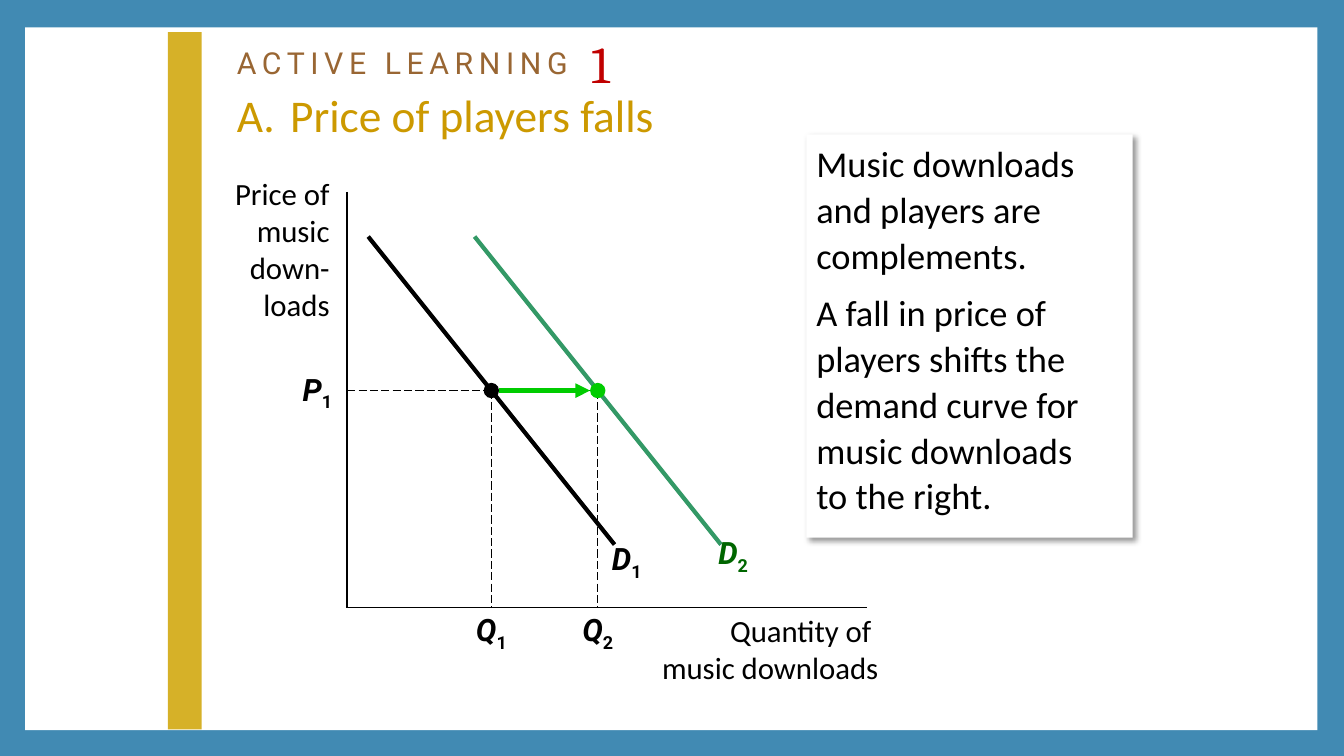
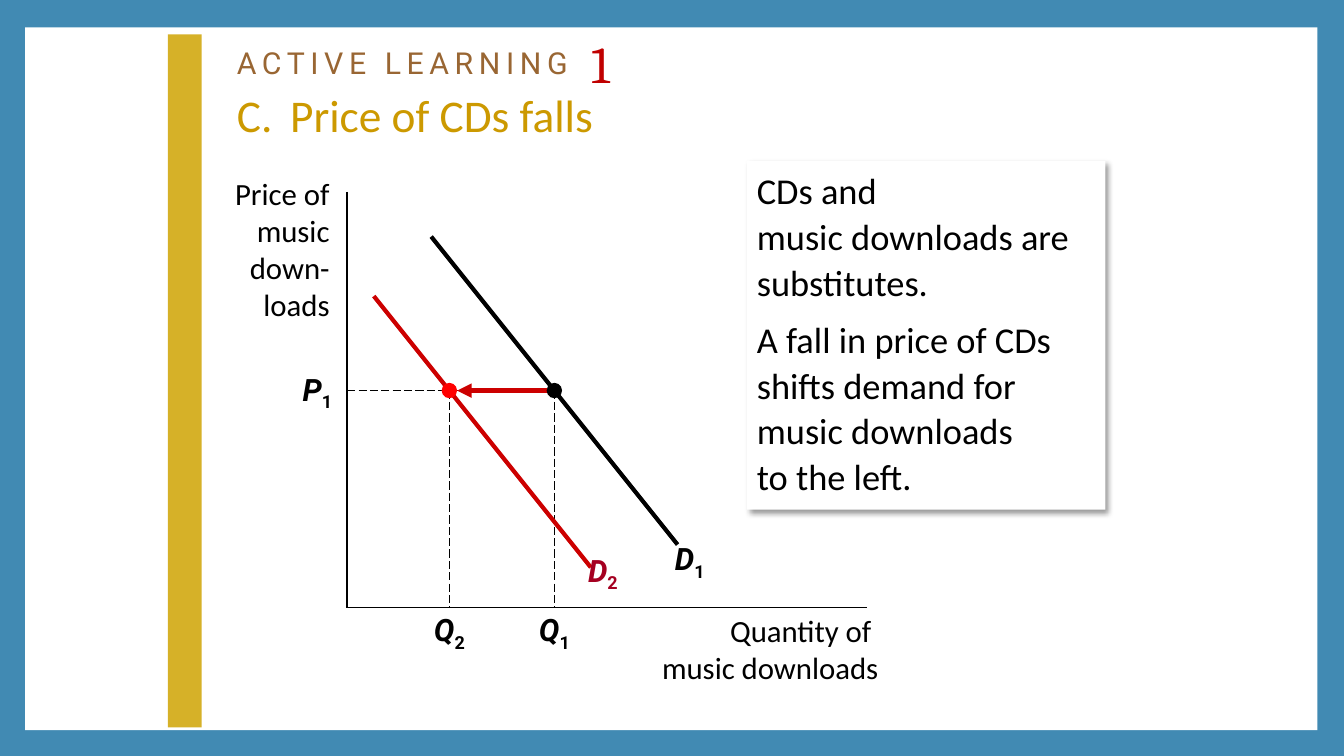
from lxml.etree import SubElement
from pptx import Presentation
from pptx.dml.color import RGBColor
from pptx.enum.dml import MSO_LINE
from pptx.enum.shapes import MSO_CONNECTOR, MSO_SHAPE
from pptx.enum.text import MSO_ANCHOR, MSO_AUTO_SIZE, PP_ALIGN
from pptx.oxml.ns import qn
from pptx.util import Pt

BLUE, WHITE, BLACK, GOLD = "418AB3", "FFFFFF", "000000", "D6B128"
BROWN, DARK_RED, TITLE_GOLD = "996633", "C00000", "CC9900"
BODY, LABEL, NUMERAL = "Calibri", "Roboto", "Cambria"

# Diagram geometry, in points
AXIS_X, AXIS_Y, AXIS_TOP, AXIS_RIGHT = 248, 434, 137, 619
PRICE_Y, SLOPE, DOT = 279, 1.25, 11
LABEL_W, LABEL_H = 47.5, 34


def rgb(color):
    return RGBColor.from_string(color)


def set_font(font, name, size, color):
    font.name, font.size = name, Pt(size)
    font.color.rgb = rgb(color)


class Deck:
    def __init__(self):
        self.prs = Presentation()
        self.prs.slide_width, self.prs.slide_height = Pt(960), Pt(540)
        self.layout = self.prs.slide_layouts[5]
        fill = self.prs.slide_master.background.fill
        fill.solid()
        fill.fore_color.rgb = rgb(BLUE)
        self.s = None

    def new_slide(self, title, bar_top, bar_height):
        first = self.s is None
        self.s = self.prs.slides.add_slide(self.layout)
        if first:  # the white panel belongs to the layout
            panel = self.shape(MSO_SHAPE.RECTANGLE, 18, 19.5, 923, 502, WHITE)
            self.layout.shapes.element.insert(2, panel.element)
        self.title(title)
        self.shape(MSO_SHAPE.RECTANGLE, 120, bar_top, 24, bar_height, GOLD)

    def title(self, text):
        sp = self.s.shapes.title
        sp.left, sp.top, sp.width, sp.height = Pt(162), Pt(12), Pt(647), Pt(75)
        tf = sp.text_frame
        tf.auto_size, tf.vertical_anchor = MSO_AUTO_SIZE.NONE, MSO_ANCHOR.MIDDLE
        p = tf.paragraphs[0]
        p.alignment, p.line_spacing = PP_ALIGN.LEFT, 0.9
        tabs = SubElement(p._p.get_or_add_pPr(), qn("a:tabLst"))
        for stop in (38, 253):
            SubElement(tabs, qn("a:tab"), pos=str(Pt(stop)), algn="l")
        p.font.size = Pt(21.6)
        self.run(p, "ACTIVE LEARNING", LABEL, 21.6, BROWN, spc="400")
        self.run(p, "\t", LABEL, 21.6, BROWN)
        self.run(p, "1", NUMERAL, 63.9, DARK_RED, baseline="-10000")
        p.add_line_break()
        self.run(p, text, BODY, 32.4, TITLE_GOLD)

    def run(self, p, text, name, size, color, **attributes):
        r = p.add_run()
        r.text = text
        set_font(r.font, name, size, color)
        for key, value in attributes.items():
            r.font._element.set(key, value)

    def shape(self, kind, x, y, w, h, color):
        sp = self.s.shapes.add_shape(kind, Pt(x), Pt(y), Pt(w), Pt(h))
        sp.shadow.inherit = False
        sp.fill.solid()
        sp.fill.fore_color.rgb = rgb(color)
        sp.line.fill.background()
        return sp

    def line(self, x1, y1, x2, y2, color=BLACK, width=1.0, dash=None, arrow=False):
        cn = self.s.shapes.add_connector(
            MSO_CONNECTOR.STRAIGHT, Pt(x1), Pt(y1), Pt(x2), Pt(y2))
        cn.line.color.rgb, cn.line.width = rgb(color), Pt(width)
        if dash:
            cn.line.dash_style = dash
        if arrow:
            SubElement(cn.line._get_or_add_ln(), qn("a:tailEnd"), type="triangle")
        SubElement(cn._element.spPr, qn("a:effectLst"))

    def text_box(self, x, y, w, h, align):
        sp = self.s.shapes.add_textbox(Pt(x), Pt(y), Pt(w), Pt(h))
        tf = sp.text_frame
        tf.word_wrap, tf.auto_size = True, MSO_AUTO_SIZE.SHAPE_TO_FIT_TEXT
        p = tf.paragraphs[0]
        p.alignment = align
        return p

    def caption(self, text, x, y, w, h):
        p = self.text_box(x, y, w, h, PP_ALIGN.RIGHT)
        p.text = text
        set_font(p.font, BODY, 22, BLACK)

    def symbol(self, text, x, y, color=BLACK, align=PP_ALIGN.CENTER):
        """Italic letter with a subscript digit."""
        p = self.text_box(x, y, LABEL_W, LABEL_H, align)
        set_font(p.font, LABEL, 22, color)
        p.font.bold = True
        letter, digit = p.add_run(), p.add_run()
        letter.text, digit.text = text
        letter.font.italic = True
        digit.font._element.set("baseline", "-25000")

    def axes(self):
        self.line(AXIS_X, AXIS_TOP, AXIS_X, AXIS_Y)
        self.line(AXIS_X, AXIS_Y, AXIS_RIGHT, AXIS_Y)
        self.caption("Price of music down-loads", 140.5, 121.5, 102, 114)
        self.caption("Quantity of \nmusic downloads", 427, 433.5, 207.5, 60)
        self.symbol("P1", 203, 261)

    def guides(self, *quantities):
        dashed = dict(width=0.75, dash=MSO_LINE.LONG_DASH)
        self.line(AXIS_X, PRICE_Y, max(quantities), PRICE_Y, **dashed)
        for number, x in enumerate(quantities, 1):
            self.line(x, PRICE_Y, x, AXIS_Y, **dashed)
            self.symbol(f"Q{number}", x - LABEL_W / 2, 433)

    def demand(self, name, x, color=BLACK, label_color=BLACK,
               left=88, right=88, lift=7):
        """Demand curve through the quantity x at the given price."""
        end_x, end_y = x + right, PRICE_Y + right * SLOPE
        self.line(x - left, PRICE_Y - left * SLOPE, end_x, end_y, color, 3)
        self.symbol(name, end_x - 9, end_y - lift, label_color, PP_ALIGN.LEFT)

    def shift(self, q1, q2, arrow_color, dot_color):
        gap = DOT / 2 if q2 > q1 else -DOT / 2
        self.line(q1 + gap, PRICE_Y, q2 - gap, PRICE_Y, arrow_color, 3.5, arrow=True)
        for x, color in ((q1, BLACK), (q2, dot_color)):
            self.shape(MSO_SHAPE.OVAL, x - DOT / 2, PRICE_Y - DOT / 2, DOT, DOT, color)

    def note(self, paragraphs, x, y, w, h):
        sp = self.shape(MSO_SHAPE.RECTANGLE, x, y, w, h, WHITE)
        shadow = SubElement(
            sp._element.spPr.find(qn("a:effectLst")), qn("a:outerShdw"),
            blurRad=str(Pt(4)), dist=str(Pt(3)), dir="2700000",
            algn="tl", rotWithShape="0")
        black = SubElement(shadow, qn("a:srgbClr"), val=BLACK)
        SubElement(black, qn("a:alpha"), val="40000")
        tf = sp.text_frame
        tf.word_wrap, tf.vertical_anchor = True, MSO_ANCHOR.TOP
        for i, text in enumerate(paragraphs):
            p = tf.add_paragraph() if i else tf.paragraphs[0]
            p.text = text
            p.alignment, p.line_spacing = PP_ALIGN.LEFT, 1.05
            if i:
                p.space_before = Pt(8)
            set_font(p.font, BODY, 26, BLACK)


def main():
    deck = Deck()

    # Complements: demand shifts right
    q1, q2 = 351, 427
    deck.new_slide("A.\tPrice of players falls", 23, 498)
    deck.guides(q1, q2)
    deck.axes()
    deck.demand("D1", q1)
    deck.demand("D2", q2, "339966", "006600", lift=11)
    deck.shift(q1, q2, "00CC00", "00CC00")
    deck.note(["Music downloads and players are complements.",
               "A fall in price of players shifts the demand curve for "
               "music downloads \nto the right."], 576, 96, 233, 288)

    # Substitutes: demand shifts left
    q1, q2 = 396, 321
    deck.new_slide("C.\tPrice of CDs falls", 24.5, 495)
    deck.guides(q1, q2)
    deck.axes()
    deck.demand("D1", q1)
    deck.demand("D2", q2, "CC0000", "A50021", left=54, right=101, lift=15)
    deck.shift(q1, q2, "CC0000", "FF0000")
    deck.note(["CDs and \nmusic downloads are substitutes.",
               "A fall in price of CDs shifts demand for "
               "music downloads \nto the left."], 533.5, 115, 256, 249)

    deck.prs.save("out.pptx")


if __name__ == "__main__":
    main()
